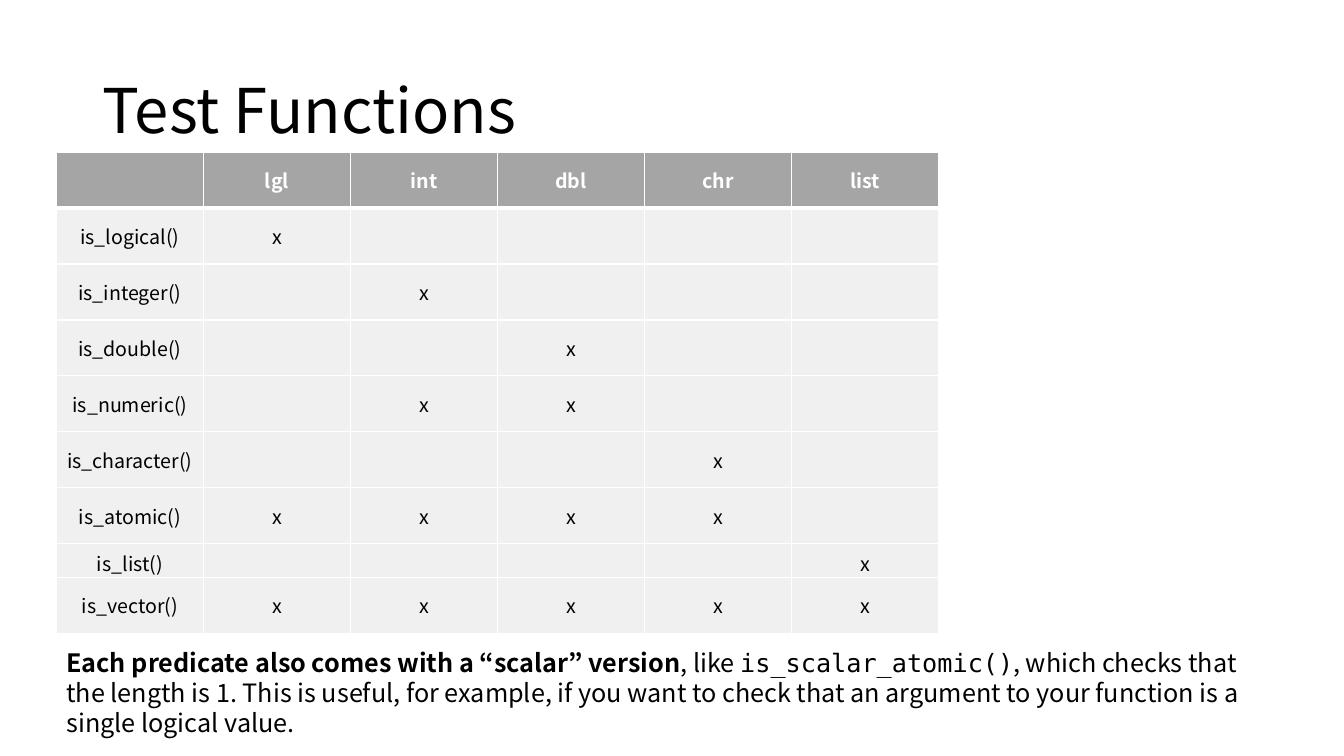
from lxml import etree
from pptx import Presentation
from pptx import util as u
from pptx.dml.color import RGBColor
from pptx.enum import text
from pptx.oxml import ns

BLACK = RGBColor(0x00, 0x00, 0x00)
WHITE = RGBColor(0xFF, 0xFF, 0xFF)
HEADER_GREY = RGBColor(0xA5, 0xA5, 0xA5)
BODY_GREY = RGBColor(0xF0, 0xF0, 0xF0)
SANS = "Noto Sans CJK KR"
MONO = "DejaVu Sans Mono"


def style_run(run, size, color=BLACK, bold=False, name=SANS):
    run.font.size = u.Pt(size)
    run.font.color.rgb = color
    run.font.bold = bold
    run.font.name = name


def add_border(cell, side, points):
    line = etree.SubElement(cell._tc.get_or_add_tcPr(), ns.qn("a:ln" + side),
                            w=str(u.Pt(points)))
    fill = etree.SubElement(line, ns.qn("a:solidFill"))
    etree.SubElement(fill, ns.qn("a:srgbClr"), val=str(WHITE))


presentation = Presentation()
presentation.slide_width = u.Inches(13.33)
presentation.slide_height = u.Inches(7.5)
slide = presentation.slides.add_slide(presentation.slide_layouts[6])

# Title
title = slide.shapes.add_textbox(u.Inches(0.92), u.Inches(0.4), u.Inches(11.5), u.Inches(1.45))
title.text_frame.word_wrap = True
title.text_frame.vertical_anchor = text.MSO_ANCHOR.MIDDLE
paragraph = title.text_frame.paragraphs[0]
paragraph.text = "Test Functions"
paragraph.line_spacing = 0.9
style_run(paragraph.runs[0], 44)

# Table of predicates and the types they accept
types = ["lgl", "int", "dbl", "chr", "list"]
accepted = {
    "is_logical()": ["lgl"],
    "is_integer()": ["int"],
    "is_double()": ["dbl"],
    "is_numeric()": ["int", "dbl"],
    "is_character()": ["chr"],
    "is_atomic()": ["lgl", "int", "dbl", "chr"],
    "is_list()": ["list"],
    "is_vector()": types,
}
rows = [[""] + types]
for predicate, matches in accepted.items():
    rows.append([predicate] + ["x" if kind in matches else "" for kind in types])

width, height, short_row = 8.75, 4.76, 0.32
table = slide.shapes.add_table(len(rows), len(rows[0]), u.Inches(0.56), u.Inches(1.51),
                               u.Inches(width), u.Inches(height)).table
for column in table.columns:
    column.width = u.Inches(width / len(rows[0]))

for row_index, values in enumerate(rows):
    is_header = row_index == 0
    row_height = short_row if values[0] == "is_list()" else (height - short_row) / (len(rows) - 1)
    table.rows[row_index].height = u.Inches(row_height)
    for column_index, value in enumerate(values):
        cell = table.cell(row_index, column_index)
        for side in "LRTB":
            thick = (is_header and side == "B") or (row_index == 1 and side == "T")
            add_border(cell, side, 3 if thick else 1)
        cell.fill.solid()
        cell.fill.fore_color.rgb = HEADER_GREY if is_header else BODY_GREY
        cell.vertical_anchor = text.MSO_ANCHOR.MIDDLE
        paragraph = cell.text_frame.paragraphs[0]
        paragraph.alignment = text.PP_ALIGN.CENTER
        if value:
            paragraph.text = value
            style_run(paragraph.runs[0], 14, WHITE if is_header else BLACK, is_header)
        else:
            # Keep empty cells from stretching the short row
            etree.SubElement(paragraph._p, ns.qn("a:endParaRPr"), sz="1400")

# Note on scalar versions
note = slide.shapes.add_textbox(u.Inches(0.56), u.Inches(6.37), u.Inches(12.23), u.Inches(1.01))
note.text_frame.word_wrap = True
paragraph = note.text_frame.paragraphs[0]
paragraph.line_spacing = u.Pt(21.5)
note_parts = [
    ("Each predicate also comes with a “scalar” version", True, SANS),
    (", like ", False, SANS),
    ("is_scalar_atomic()", False, MONO),
    (", which checks that the length is 1. This is useful, for example, if you want to check "
     "that an argument to your function is a single logical value.", False, SANS),
]
for words, bold, name in note_parts:
    run = paragraph.add_run()
    run.text = words
    style_run(run, 18, BLACK, bold, name)

presentation.save("out.pptx")
